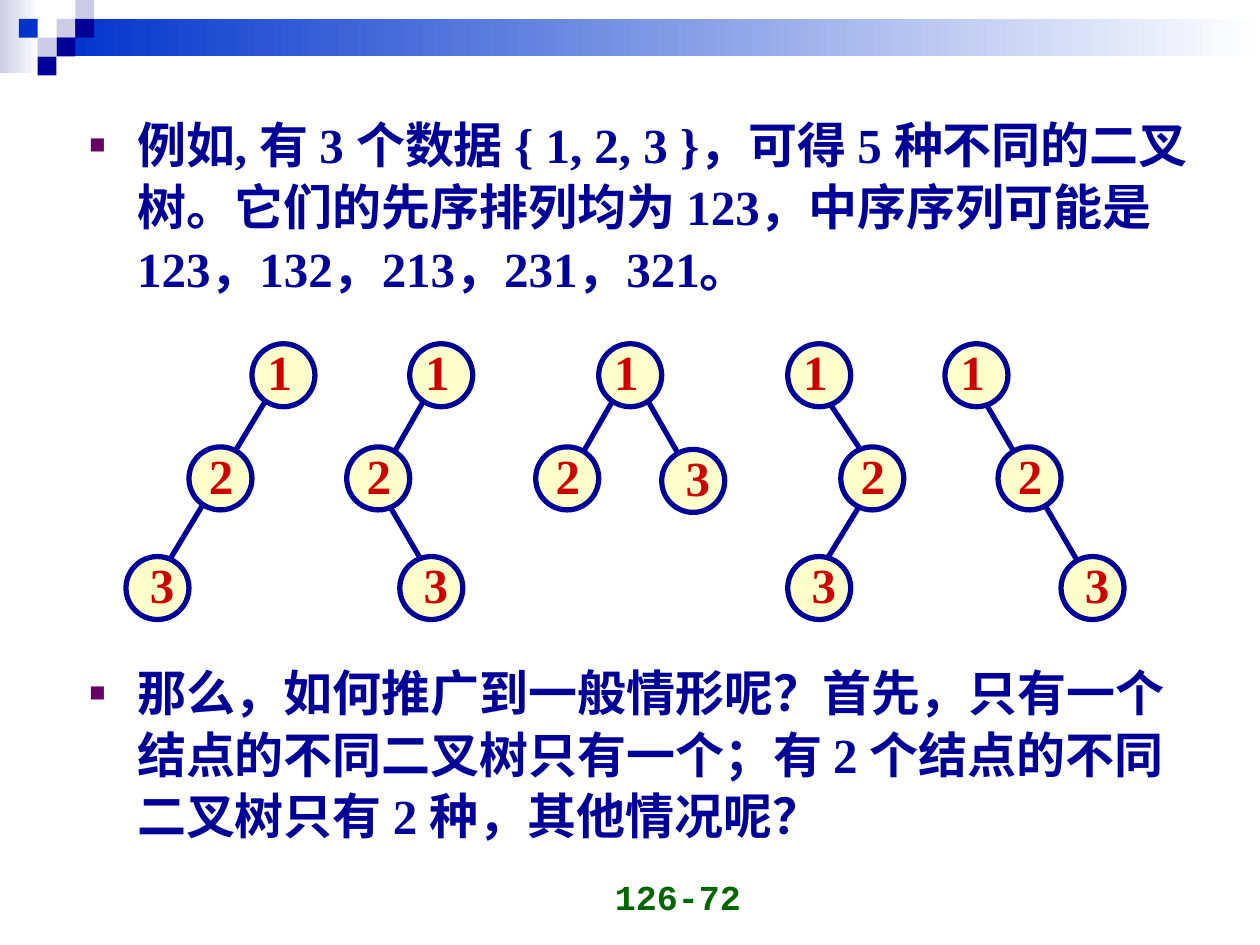
from lxml import etree
from pptx import Presentation
from pptx.dml import color
from pptx.enum import shapes, text
from pptx.oxml import ns
from pptx.util import Cm, Pt

COLORS = {
    "navy": "000099", "blue": "0033CC", "lavender": "CCCCE6", "white": "FFFFFF",
    "cream": "FFFFCC", "red": "CC0000", "green": "006600", "purple": "660066",
}
NODE_SIZE = 1.27
LABEL_SHIFT = {1: 0.06, 2: 0.15, 3: 0.23}

# Left edge, node corners (x, y) for 1, 2, 3, and edges (x1, y1, x2, y2), in cm
TREES = [
    (2.54, [(2.54, 0), (1.27, 2.08), (0, 4.29)], [(2.97, 0.89, 0.84, 4.42)]),
    (6.99, [(1.27, 0), (0, 2.08), (1.07, 4.29)],
     [(1.7, 0.89, 0.84, 2.39), (0.84, 3.23, 1.7, 4.7)]),
    (10.8, [(1.27, 0), (0, 2.08), (2.54, 2.13)],
     [(1.7, 0.89, 0.84, 2.39), (2.11, 0.89, 2.97, 2.39)]),
    (15.88, [(0, 0), (1.07, 2.08), (0, 4.29)],
     [(0.64, 0.89, 1.9, 2.79), (1.47, 3.23, 0.43, 4.93)]),
    (19.05, [(0, 0), (1.07, 2.08), (2.34, 4.29)], [(0.64, 0.89, 2.74, 4.5)]),
]
POINTS = [
    ("例如, 有 3 个数据 { 1, 2, 3 }，可得 5 种不同的二叉树。它们的先序排列均为 123，"
     "中序序列可能是 123，132，213，231，321。", 5.2),
    ("那么，如何推广到一般情形呢？首先，只有一个结点的不同二叉树只有一个；"
     "有 2 个结点的不同二叉树只有 2 种，其他情况呢？", 207),
]


def rgb(name):
    return color.RGBColor.from_string(COLORS[name])


def style_font(paragraph, name, size, color_name):
    for run in paragraph.runs:
        run.font.name = name
        run.font.size = Pt(size)
        run.font.bold = True
        run.font.color.rgb = rgb(color_name)


def add_block(slide, left, top, width, height, fill, fade=False):
    """Add a borderless rectangle, optionally fading to white on the right."""
    shape = slide.shapes.add_shape(
        shapes.MSO_SHAPE.RECTANGLE, Cm(left), Cm(top), Cm(width), Cm(height))
    shape.shadow.inherit = False
    shape.line.fill.background()
    if fade:
        shape.fill.gradient()
        shape.fill.gradient_angle = 0
        for stop, name in zip(shape.fill.gradient_stops, (fill, "white")):
            stop.color.rgb = rgb(name)
    else:
        shape.fill.solid()
        shape.fill.fore_color.rgb = rgb(fill)


def add_banner(slide, left, top):
    add_block(slide, left, top, 0.79, 1.47, "lavender", fade=True)
    add_block(slide, left + 1.14, top + 0.38, 24.26, 0.76, "blue", fade=True)
    unit = 0.38
    squares = [(3, 1, "lavender"), (4, 0, "lavender"), (4, 1, "navy"),
               (2, 2, "lavender"), (1, 1, "blue"), (3, 2, "navy"), (2, 3, "navy")]
    for column, row, fill in squares:
        add_block(slide, left + column * unit, top + row * unit, unit, unit, fill)


def add_label(slide, left, top, width, height, content):
    box = slide.shapes.add_textbox(Cm(left), Cm(top), Cm(width), Cm(height))
    box.text_frame.text = content
    return box.text_frame, box.text_frame.paragraphs[0]


def add_edge(slide, x1, y1, x2, y2):
    edge = slide.shapes.add_connector(
        shapes.MSO_CONNECTOR.STRAIGHT, Cm(x1), Cm(y1), Cm(x2), Cm(y2))
    edge.line.color.rgb = rgb("navy")
    edge.line.width = Pt(3)
    properties = edge._element.find(ns.qn("p:spPr"))
    etree.SubElement(properties, ns.qn("a:effectLst"))


def add_node(slide, left, top, number):
    circle = slide.shapes.add_shape(
        shapes.MSO_SHAPE.OVAL, Cm(left), Cm(top), Cm(NODE_SIZE), Cm(NODE_SIZE))
    circle.shadow.inherit = False
    circle.fill.solid()
    circle.fill.fore_color.rgb = rgb("cream")
    circle.line.color.rgb = rgb("navy")
    circle.line.width = Pt(3)
    frame, paragraph = add_label(
        slide, left + LABEL_SHIFT[number], top - 0.17, 0.99, 1.45, str(number))
    frame.word_wrap = False
    frame.vertical_anchor = text.MSO_ANCHOR.MIDDLE
    paragraph.alignment = text.PP_ALIGN.CENTER
    style_font(paragraph, "Times New Roman", 28, "red")


def add_tree(slide, left, top, nodes, edges):
    for x1, y1, x2, y2 in edges:
        add_edge(slide, left + x1, top + y1, left + x2, top + y2)
    for number, (x, y) in enumerate(nodes, start=1):
        add_node(slide, left + x, top + y, number)


def add_bullet(paragraph):
    properties = paragraph._p.get_or_add_pPr()
    properties.set("marL", str(Cm(0.96)))
    properties.set("indent", str(-Cm(0.96)))
    bullet_color = etree.SubElement(properties, ns.qn("a:buClr"))
    etree.SubElement(bullet_color, ns.qn("a:srgbClr"), val=COLORS["purple"])
    etree.SubElement(properties, ns.qn("a:buSzPct"), val="55000")
    etree.SubElement(properties, ns.qn("a:buChar"), char="■")


def fill_body(body, left, top, width, height):
    body.left, body.top, body.width, body.height = map(Cm, (left, top, width, height))
    frame = body.text_frame
    frame.auto_size = text.MSO_AUTO_SIZE.NONE
    frame.text = "\n".join(content for content, _ in POINTS)
    for paragraph, (_, gap) in zip(frame.paragraphs, POINTS):
        paragraph.line_spacing = 1.05
        paragraph.space_before = Pt(gap)
        add_bullet(paragraph)
        style_font(paragraph, "Times New Roman", 28, "navy")


def add_page_number(slide, left, top, width, height):
    frame, paragraph = add_label(slide, left, top, width, height, "126-72")
    frame.word_wrap = True
    frame.vertical_anchor = text.MSO_ANCHOR.BOTTOM
    paragraph.alignment = text.PP_ALIGN.RIGHT
    style_font(paragraph, "Courier New", 20, "green")


def main():
    presentation = Presentation()
    presentation.slide_width, presentation.slide_height = Cm(25.4), Cm(19.05)
    slide = presentation.slides.add_slide(presentation.slide_layouts[1])
    title = slide.shapes.title._element
    title.getparent().remove(title)
    fill_body(slide.placeholders[1], 1.55, 2.13, 22.86, 15.49)
    add_banner(slide, 0, 0)
    add_page_number(slide, 9.27, 17.35, 5.92, 1.27)
    for left, nodes, edges in TREES:
        add_tree(slide, left, 6.93, nodes, edges)
    presentation.save("out.pptx")


if __name__ == "__main__":
    main()
